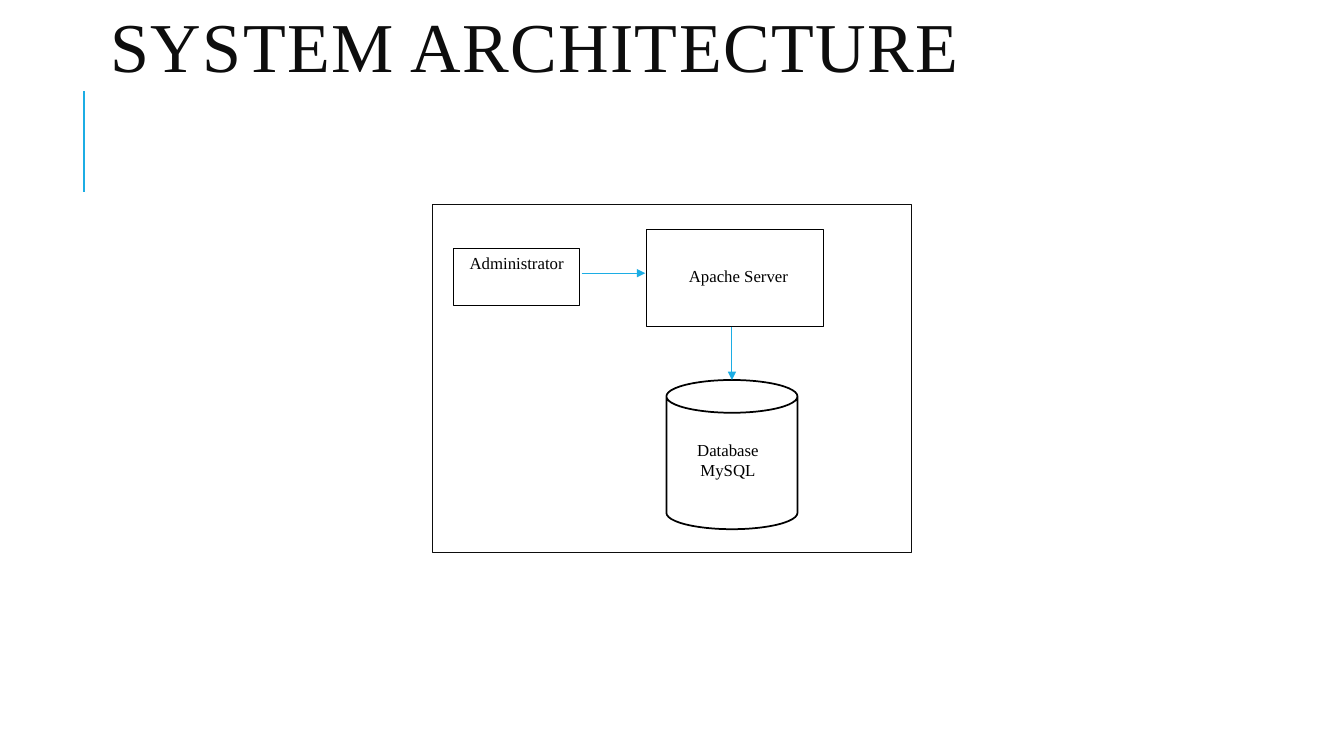
from lxml.etree import SubElement
from pptx import Presentation
from pptx.dml.color import RGBColor
from pptx.enum.shapes import MSO_CONNECTOR, MSO_SHAPE
from pptx.enum.text import MSO_ANCHOR, PP_ALIGN
from pptx.oxml.ns import qn
from pptx.util import Inches, Pt

ACCENT = RGBColor(0x1C, 0xAD, 0xE4)
INK = RGBColor(0x0D, 0x0D, 0x0D)
BLACK = RGBColor(0x00, 0x00, 0x00)
WHITE = RGBColor(0xFF, 0xFF, 0xFF)
FONT = "Times New Roman"


def write(sp, text, size=12, color=BLACK, align=PP_ALIGN.CENTER,
          anchor=MSO_ANCHOR.TOP, line_spacing=None, tracking=None):
    tf = sp.text_frame
    tf.word_wrap = True
    tf.vertical_anchor = anchor
    p = tf.paragraphs[0]
    p.alignment = align
    p.line_spacing = line_spacing
    r = p.add_run()
    r.text = text
    r.font.name = FONT
    r.font.size = Pt(size)
    r.font.color.rgb = color
    if tracking:
        r.font._element.set("spc", str(tracking * 100))


def add_box(s, left, top, width, height, kind=MSO_SHAPE.RECTANGLE,
            line=None, weight=0.5, text=None):
    sp = s.shapes.add_shape(kind, Inches(left), Inches(top),
                            Inches(width), Inches(height))
    sp.shadow.inherit = False
    sp.fill.solid()
    sp.fill.fore_color.rgb = WHITE
    if line is None:
        sp.line.fill.background()
    else:
        sp.line.color.rgb = line
        sp.line.width = Pt(weight)
    if text:
        write(sp, text)
    return sp


def add_line(s, x1, y1, x2, y2, weight=0.75, arrow=True):
    cxn = s.shapes.add_connector(MSO_CONNECTOR.STRAIGHT, Inches(x1), Inches(y1),
                                 Inches(x2), Inches(y2))
    cxn.line.color.rgb = ACCENT
    cxn.line.width = Pt(weight)
    if arrow:
        SubElement(cxn.line._get_or_add_ln(), qn("a:tailEnd"), type="triangle")
    SubElement(cxn._element.spPr, qn("a:effectLst"))


def add_title(s, left, top, width, height):
    # Accent rule beside the title
    add_line(s, left - 0.17, top + 1.9, left - 0.17, top + 0.9,
             weight=1.5, arrow=False)
    sp = s.shapes.add_textbox(Inches(left), Inches(top),
                              Inches(width), Inches(height))
    write(sp, "SYSTEM ARCHITECTURE", size=50, color=INK, align=PP_ALIGN.LEFT,
          anchor=MSO_ANCHOR.MIDDLE, line_spacing=0.8, tracking=1)


def add_architecture(s, left, top, width, height):
    # Frame
    add_box(s, left, top, width, height, line=INK)

    # Server and database outlines, joined by an arrow
    add_box(s, left + 2.12, top + 0.25, 1.76, 0.96, line=BLACK)
    add_box(s, left + 2.32, top + 1.74, 1.3, 1.48, MSO_SHAPE.CAN,
            line=BLACK, weight=1.25)
    add_line(s, left + 2.97, top + 1.21, left + 2.97, top + 1.74)

    # Labels
    add_box(s, left + 2.44, top + 2.28, 0.98, 0.75, text="Database MySQL")
    add_box(s, left + 2.41, top + 0.56, 1.25, 0.57, text="Apache Server")

    # Administrator and its arrow to the server
    add_box(s, left + 0.21, top + 0.43, 1.25, 0.57, line=BLACK,
            text="Administrator")
    add_line(s, left + 1.48, top + 0.68, left + 2.11, top + 0.68)


def main():
    prs = Presentation()
    prs.slide_width = Inches(13.33)
    prs.slide_height = Inches(7.5)
    s = prs.slides.add_slide(prs.slide_layouts[6])
    add_title(s, 1, 0, 11.33, 1.04)
    add_architecture(s, 4.29, 2.03, 4.75, 3.45)
    prs.save("out.pptx")


if __name__ == "__main__":
    main()
